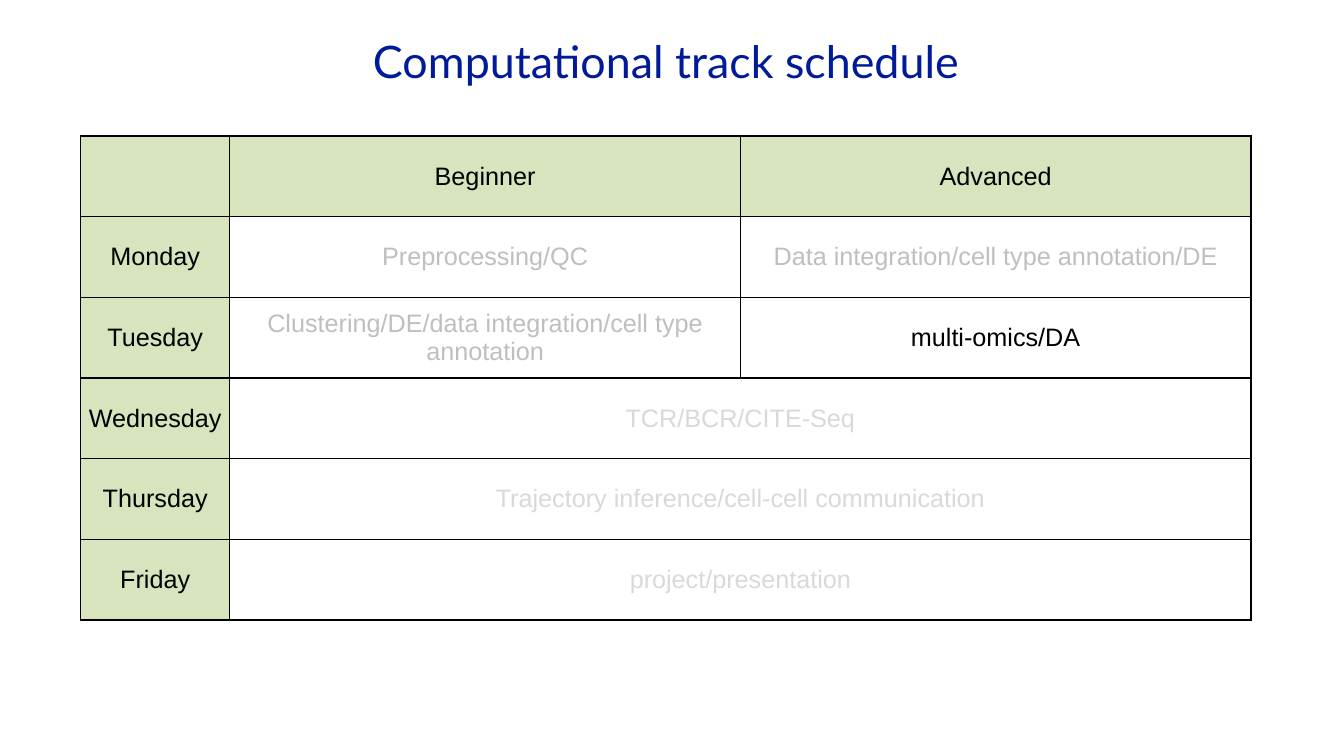
from dataclasses import dataclass

from lxml.etree import SubElement
from pptx import Presentation
from pptx.dml.color import RGBColor
from pptx.enum.text import MSO_ANCHOR, PP_ALIGN
from pptx.oxml.ns import qn
from pptx.util import Pt


@dataclass(frozen=True)
class Theme:
    """Colours, fonts and type sizes of the deck."""
    title: str = "011A99"
    label: str = "000000"
    past: str = "BFBFBF"
    future: str = "D9D9D9"
    header_fill: str = "D7E4BD"
    border: str = "000000"
    border_width: float = 1
    title_font: str = "Lato"
    body_font: str = "Arial"
    title_size: float = 32
    body_size: float = 18


THEME = Theme()

HEADINGS = ["", "Beginner", "Advanced"]
SESSIONS = [
    ("Monday", [("Preprocessing/QC", THEME.past),
                ("Data integration/cell type annotation/DE", THEME.past)]),
    ("Tuesday", [("Clustering/DE/data integration/cell type annotation", THEME.past),
                 ("multi-omics/DA", THEME.label)]),
    ("Wednesday", [("TCR/BCR/CITE-Seq", THEME.future)]),
    ("Thursday", [("Trajectory inference/cell-cell communication", THEME.future)]),
    ("Friday", [("project/presentation", THEME.future)]),
]


def write_centred(paragraph, wording, font_name, size, colour):
    """Add one styled run to a centred paragraph."""
    paragraph.alignment = PP_ALIGN.CENTER
    run = paragraph.add_run()
    run.text = wording
    run.font.name = font_name
    run.font.size = Pt(size)
    run.font.color.rgb = RGBColor.from_string(colour)


def outline_cell(cell):
    """Draw a solid border on all four sides of a cell."""
    properties = cell._tc.get_or_add_tcPr()
    for side in ("lnL", "lnR", "lnT", "lnB"):
        edge = SubElement(properties, qn(f"a:{side}"), w=str(Pt(THEME.border_width)))
        SubElement(SubElement(edge, qn("a:solidFill")), qn("a:srgbClr"), val=THEME.border)


def fill_cell(cell, wording, colour):
    """Write centred body text into a cell."""
    if wording:
        write_centred(cell.text_frame.paragraphs[0], wording,
                      THEME.body_font, THEME.body_size, colour)


def add_title(slide, left, top, width, height):
    """Place the slide title in the given box."""
    frame = slide.shapes.add_textbox(Pt(left), Pt(top), Pt(width), Pt(height)).text_frame
    frame.word_wrap = True
    frame.vertical_anchor = MSO_ANCHOR.MIDDLE
    write_centred(frame.paragraphs[0], "Computational track schedule ",
                  THEME.title_font, THEME.title_size, THEME.title)


def add_schedule(slide, left, top, width, height, day_width=106.6):
    """Place the weekly schedule table in the given box."""
    row_count = len(SESSIONS) + 1
    schedule = slide.shapes.add_table(row_count, len(HEADINGS), Pt(left), Pt(top),
                                      Pt(width), Pt(height)).table
    schedule.first_row = schedule.horz_banding = False
    track_width = (width - day_width) / 2
    for column, column_width in zip(schedule.columns, (day_width, track_width, track_width)):
        column.width = Pt(column_width)

    for row_index, row in enumerate(schedule.rows):
        row.height = Pt(height / row_count)
        for column_index, cell in enumerate(row.cells):
            outline_cell(cell)
            cell.vertical_anchor = MSO_ANCHOR.MIDDLE
            cell.margin_left = cell.margin_right = Pt(2)
            cell.margin_top = cell.margin_bottom = Pt(1.5)
            if row_index == 0 or column_index == 0:
                cell.fill.solid()
                cell.fill.fore_color.rgb = RGBColor.from_string(THEME.header_fill)
            else:
                cell.fill.background()

    for column_index, heading in enumerate(HEADINGS):
        fill_cell(schedule.cell(0, column_index), heading, THEME.label)
    for row_index, (day, topics) in enumerate(SESSIONS, start=1):
        fill_cell(schedule.cell(row_index, 0), day, THEME.label)
        if len(topics) == 1:
            schedule.cell(row_index, 1).merge(schedule.cell(row_index, 2))
        for column_index, (topic, colour) in enumerate(topics, start=1):
            fill_cell(schedule.cell(row_index, column_index), topic, colour)


def main():
    """Build the schedule slide and save it."""
    deck = Presentation()
    deck.slide_width, deck.slide_height = Pt(960), Pt(540)
    slide = deck.slides.add_slide(deck.slide_layouts[6])
    add_title(slide, 0, 0, 960, 86.4)
    add_schedule(slide, 57.6, 97.2, 836, 345.6)
    deck.save("out.pptx")


if __name__ == "__main__":
    main()
